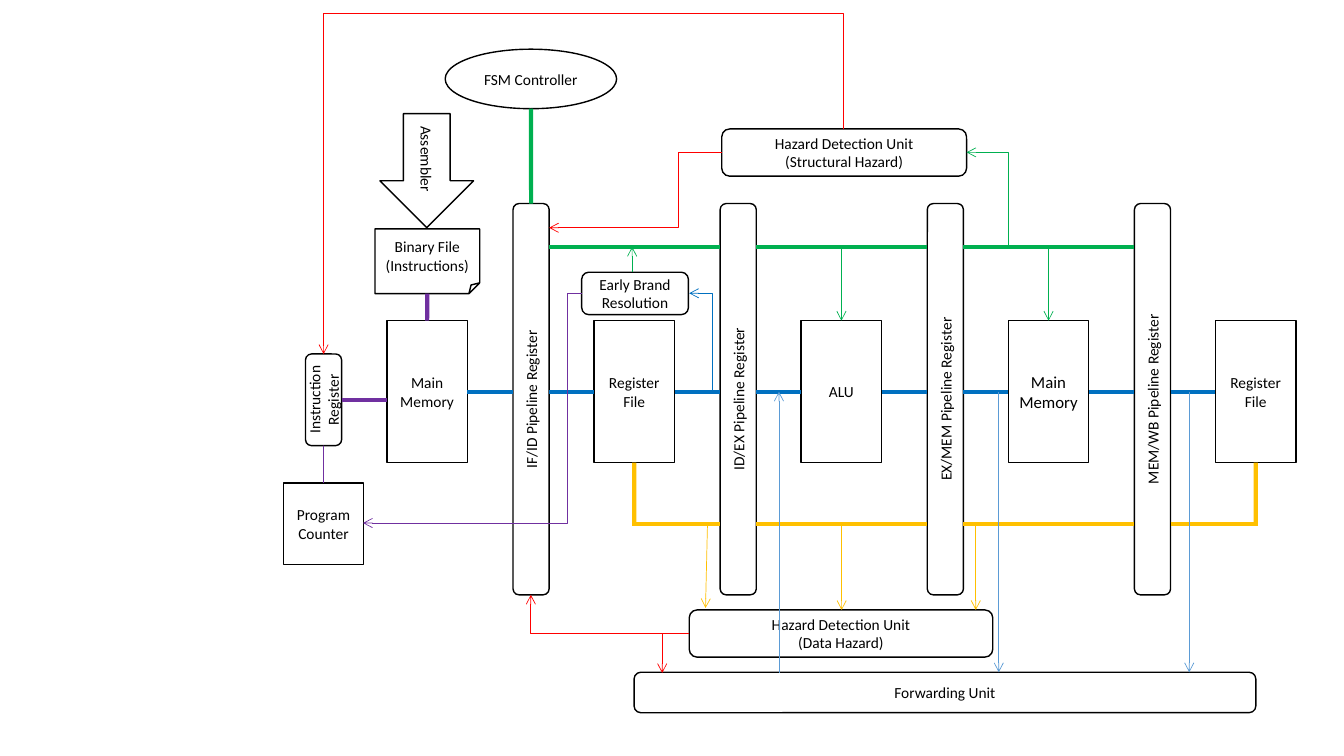
from dataclasses import dataclass
from typing import NamedTuple, Optional

from pptx import Presentation
from pptx.dml.color import RGBColor
from pptx.enum.shapes import MSO_CONNECTOR, MSO_SHAPE
from pptx.enum.text import MSO_ANCHOR, PP_ALIGN
from pptx.oxml.ns import qn
from pptx.util import Cm, Pt
from lxml import etree

RECT, ROUND = MSO_SHAPE.RECTANGLE, MSO_SHAPE.ROUNDED_RECTANGLE
OVAL, FOLDED, ARROW = MSO_SHAPE.OVAL, MSO_SHAPE.FOLDED_CORNER, MSO_SHAPE.RIGHT_ARROW
STRAIGHT, ELBOW = MSO_CONNECTOR.STRAIGHT, MSO_CONNECTOR.ELBOW
CENTER, MIDDLE = PP_ALIGN.CENTER, MSO_ANCHOR.MIDDLE
TOP, LEFT, BOTTOM, RIGHT = range(4)


@dataclass(frozen=True)
class Theme:
    font: str = "Calibri"
    text_size: float = 11
    large_size: float = 12
    outline: float = 1
    bus: float = 3
    signal: float = 0.5
    black: str = "000000"
    green: str = "00B050"
    blue: str = "0070C0"
    light_blue: str = "5B9BD5"
    gold: str = "FFC000"
    purple: str = "7030A0"
    red: str = "FF0000"


THEME = Theme()


class Box(NamedTuple):
    text: str
    left: float
    top: float
    width: float
    height: float
    kind: int = ROUND
    size: float = THEME.text_size
    vertical: bool = False
    rotation: float = 0


class Wire(NamedTuple):
    start: tuple
    end: tuple
    color: str
    width: float = THEME.signal
    arrow: str = ""             # "headEnd" at the start, "tailEnd" at the end
    start_box: Optional[tuple] = None   # (shape, side)
    end_box: Optional[tuple] = None
    bend: str = ""              # "corner" or "step"
    step: int = 50000           # place of the middle leg of a step


def write_text(frame, text: str, *, size: float, color: str) -> None:
    frame.vertical_anchor = MIDDLE
    frame.word_wrap = True
    for number, content in enumerate(text.split("\n")):
        para = frame.paragraphs[0] if number == 0 else frame.add_paragraph()
        para.alignment = CENTER
        span = para.add_run()
        span.text = content
        span.font.name = THEME.font
        span.font.size = Pt(size)
        span.font.color.rgb = RGBColor.from_string(color)


def draw_box(page, box: Box):
    shape = page.shapes.add_shape(box.kind, Cm(box.left), Cm(box.top),
                                  Cm(box.width), Cm(box.height))
    shape.shadow.inherit = False
    shape.rotation = box.rotation
    shape.fill.background()
    shape.line.color.rgb = RGBColor.from_string(THEME.black)
    shape.line.width = Pt(THEME.outline)
    write_text(shape.text_frame, box.text, size=box.size, color=THEME.black)
    if box.vertical:
        shape.element.txBody.find(qn("a:bodyPr")).set("vert", "vert270")
    return shape


def draw_wire(page, wire: Wire) -> None:
    link = page.shapes.add_connector(ELBOW if wire.bend else STRAIGHT,
                                     *map(Cm, wire.start), *map(Cm, wire.end))
    if wire.start_box:
        link.begin_connect(*wire.start_box)
    if wire.end_box:
        link.end_connect(*wire.end_box)
    link.line.color.rgb = RGBColor.from_string(wire.color)
    link.line.width = Pt(wire.width)
    properties = link.element.spPr
    if wire.arrow:
        etree.SubElement(properties.find(qn("a:ln")), qn("a:" + wire.arrow), type="arrow")
    etree.SubElement(properties, qn("a:effectLst"))
    geometry = properties.find(qn("a:prstGeom"))
    if wire.bend == "corner":
        geometry.set("prst", "bentConnector2")
    elif wire.bend == "step":
        etree.SubElement(geometry.find(qn("a:avLst")), qn("a:gd"),
                         name="adj1", fmla=f"val {wire.step}")


# Stage grid, in centimetres
PITCH = 5.22
REGISTER_LEFT, REGISTER_TOP, REGISTER_WIDTH, REGISTER_HEIGHT = 12.93, 5.13, 0.91, 9.86
BLOCK_LEFT, BLOCK_TOP, BLOCK_WIDTH, BLOCK_HEIGHT = 9.75, 8.08, 2.03, 3.58
BLOCK_BOTTOM = BLOCK_TOP + BLOCK_HEIGHT
CONTROL_Y, DATA_Y, HAZARD_Y = 6.22, BLOCK_TOP + BLOCK_HEIGHT / 2, 13.21
REGISTERS = ["IF/ID", "ID/EX", "EX/MEM", "MEM/WB"]
BLOCKS = ["Main Memory", "Register File", "ALU", "Main Memory", "Register File"]
LARGE_BLOCK = 3

UNITS = {
    "forwarding": Box("Forwarding Unit", 15.98, 16.94, 15.67, 1.02),
    "controller": Box("FSM Controller", 11.22, 1.24, 4.32, 1.5, OVAL),
    "instruction": Box("Instruction Register", 7.7, 8.92, 0.91, 2.31, vertical=True),
    "data hazard": Box("Hazard Detection Unit\n(Data Hazard)", 17.37, 15.37, 7.65, 1.19),
    "binary": Box("Binary File\n(Instructions)", 9.45, 5.77, 2.64, 1.63, FOLDED),
    "assembler": Box("Assembler", 9.32, 3.12, 2.87, 2.36, ARROW, rotation=90),
    "structural": Box("Hazard Detection Unit\n(Structural Hazard)", 18.19, 3.25, 6.17, 1.19),
    "early": Box("Early Brand Resolution", 14.66, 6.86, 2.69, 1.07),
    "counter": Box("Program Counter", 7.15, 12.17, 2.01, 2.06, RECT),
}


def register_left(index: int) -> float:
    return REGISTER_LEFT + PITCH * index


def register_right(index: int) -> float:
    return register_left(index) + REGISTER_WIDTH


def block_left(index: int) -> float:
    return BLOCK_LEFT + PITCH * index


def block_center(index: int) -> float:
    return block_left(index) + BLOCK_WIDTH / 2


def level(start: float, end: float, y: float, color: str, **joins) -> Wire:
    return Wire((start, y), (end, y), color, THEME.bus, **joins)


def upright(x: float, start: float, end: float, color: str, **options) -> Wire:
    return Wire((x, start), (x, end), color, **options)


def bus_wires(blocks: list, units: dict, registers: list) -> list[Wire]:
    wires = []
    # Data path through blocks and registers
    for i in range(len(REGISTERS)):
        wires += [level(block_left(i) + BLOCK_WIDTH, register_left(i), DATA_Y, THEME.blue,
                        start_box=(blocks[i], RIGHT)),
                  level(register_right(i), block_left(i + 1), DATA_Y, THEME.blue,
                        end_box=(blocks[i + 1], LEFT))]
    # Control and hazard buses between registers
    for y, color, first in ((CONTROL_Y, THEME.green, 0), (HAZARD_Y, THEME.gold, 1)):
        wires += [level(register_right(i), register_left(i + 1), y, color)
                  for i in range(first, len(REGISTERS) - 1)]
    # Ends of the hazard bus at the register files
    wires += [level(block_center(1) - 0.05, register_left(1), HAZARD_Y, THEME.gold),
              level(register_right(3), block_center(4) + 0.05, HAZARD_Y, THEME.gold)]
    wires += [upright(block_center(i), BLOCK_BOTTOM, HAZARD_Y, THEME.gold, width=THEME.bus,
                      start_box=(blocks[i], BOTTOM)) for i in (1, 4)]
    # Controller, binary file and instruction register
    wires += [upright(13.38, 2.74, REGISTER_TOP, THEME.green, width=THEME.bus,
                      end_box=(registers[0], TOP)),
              upright(10.77, 7.4, BLOCK_TOP, THEME.purple, width=THEME.bus,
                      start_box=(units["binary"], BOTTOM), end_box=(blocks[0], TOP)),
              level(8.61, BLOCK_LEFT, 10.07, THEME.purple)]
    return wires


def signal_wires(blocks: list, units: dict) -> list[Wire]:
    head, tail = {"arrow": "headEnd"}, {"arrow": "tailEnd"}
    wires = [Wire((17.83, HAZARD_Y), (17.78, 15.32), THEME.gold, **tail)]
    wires += [upright(x, HAZARD_Y, 15.37, THEME.gold, **tail) for x in (21.21, 24.59)]
    wires += [upright(x, DATA_Y, 16.94, THEME.light_blue, **tail) for x in (25.17, 29.97)]
    wires += [upright(block_center(i), CONTROL_Y, BLOCK_TOP, THEME.green,
                      end_box=(blocks[i], TOP), **tail) for i in (2, 3)]
    wires += [
        upright(19.63, DATA_Y, 16.95, THEME.light_blue, **head),
        upright(15.93, CONTROL_Y, 6.86, THEME.green, **head),
        upright(8.15, 0.33, 8.92, THEME.red, end_box=(units["instruction"], TOP), **tail),
        upright(8.15, 11.23, 12.17, THEME.purple, start_box=(units["instruction"], BOTTOM),
                end_box=(units["counter"], TOP)),
        Wire((17.37, 15.97), (16.69, 16.96), THEME.red, bend="corner", **tail),
        Wire((17.37, 15.97), (13.38, 14.99), THEME.red, bend="corner", **tail),
        Wire((24.36, 3.84), (25.4, CONTROL_Y), THEME.green, bend="corner", **head),
        Wire((8.15, 0.33), (21.26, 3.25), THEME.red, bend="corner"),
        Wire((17.37, 7.39), (17.96, 9.86), THEME.blue, bend="corner", **head),
        Wire((18.19, 3.84), (13.84, 5.74), THEME.red, bend="step", step=25000, **tail),
        Wire((14.66, 7.39), (9.15, 13.18), THEME.purple, bend="step", step=6500, **tail),
    ]
    return wires


def main() -> None:
    deck = Presentation()
    deck.slide_width, deck.slide_height = Cm(33.87), Cm(19.05)
    page = deck.slides.add_slide(deck.slide_layouts[6])
    # Boxes
    registers = [draw_box(page, Box(f"{name} Pipeline Register", register_left(i), REGISTER_TOP,
                                    REGISTER_WIDTH, REGISTER_HEIGHT, vertical=True))
                 for i, name in enumerate(REGISTERS)]
    blocks = [draw_box(page, Box(name, block_left(i), BLOCK_TOP, BLOCK_WIDTH, BLOCK_HEIGHT, RECT,
                                 THEME.large_size if i == LARGE_BLOCK else THEME.text_size))
              for i, name in enumerate(BLOCKS)]
    units = {key: draw_box(page, box) for key, box in UNITS.items()}
    # Wires
    for wire in bus_wires(blocks, units, registers) + signal_wires(blocks, units):
        draw_wire(page, wire)
    deck.save("out.pptx")


if __name__ == "__main__":
    main()
